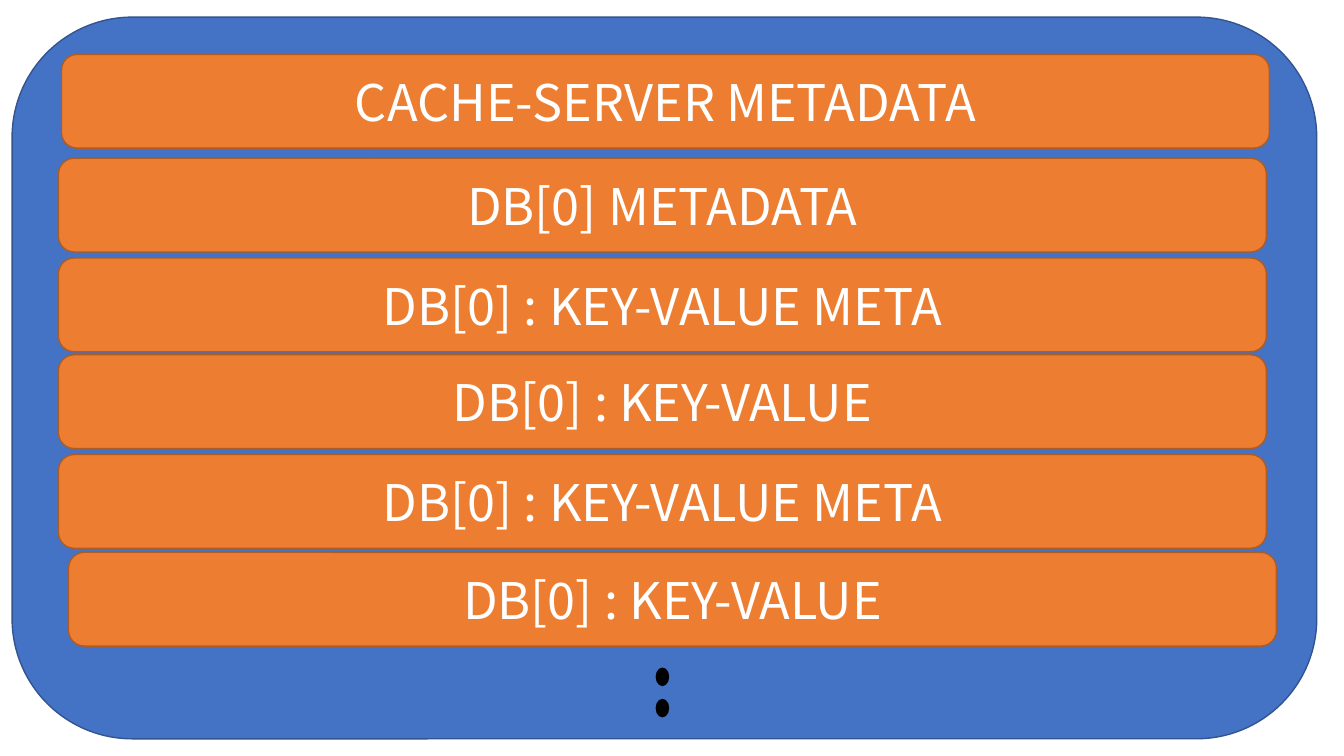
from pptx import Presentation
from pptx.dml.color import RGBColor
from pptx.enum.shapes import MSO_SHAPE as Shape
from pptx.enum.text import MSO_ANCHOR as Anchor, PP_ALIGN as Align
from pptx.util import Inches, Pt

FONT = "Noto Sans CJK KR"
FRAME = (0.12, 0.17, 12.94, 7.16)
ROWS = [
    ("CACHE-SERVER METADATA", 0.61, 0.54),
    ("DB[0] METADATA", 0.58, 1.57),
    ("DB[0] : KEY-VALUE META", 0.58, 2.56),
    ("DB[0] : KEY-VALUE", 0.58, 3.52),
    ("DB[0] : KEY-VALUE META", 0.58, 4.51),
    ("DB[0] : KEY-VALUE", 0.68, 5.48),
]
ROW_SIZE = (11.98, 0.93)
DOTS = [(6.51, 6.63), (6.51, 6.94)]
DOT_SIZE = (0.12, 0.17)


def color(code):
    return RGBColor.from_string(code)


def draw(slide, kind, box, fill, line):
    shape = slide.shapes.add_shape(kind, *[Inches(v) for v in box])
    shape.shadow.inherit = False
    shape.fill.solid()
    shape.fill.fore_color.rgb = color(fill)
    shape.line.color.rgb = color(line)
    shape.line.width = Pt(1)
    return shape


def label(shape, text):
    frame = shape.text_frame
    frame.word_wrap = True
    frame.vertical_anchor = Anchor.MIDDLE
    para = frame.paragraphs[0]
    para.alignment = Align.CENTER
    run = para.add_run()
    run.text = text
    run.font.name = FONT
    run.font.size = Pt(36)
    run.font.color.rgb = color("FFFFFF")


def main():
    deck = Presentation()
    deck.slide_width = Inches(13.33)
    deck.slide_height = Inches(7.5)
    slide = deck.slides.add_slide(deck.slide_layouts[6])

    draw(slide, Shape.ROUNDED_RECTANGLE, FRAME, "4472C4", "325491")
    for text, left, top in ROWS:
        box = (left, top, *ROW_SIZE)
        row = draw(slide, Shape.ROUNDED_RECTANGLE, box, "ED7D31", "AF5C24")
        label(row, text)
    for spot in DOTS:
        draw(slide, Shape.OVAL, (*spot, *DOT_SIZE), "000000", "000000")

    deck.save("out.pptx")


if __name__ == "__main__":
    main()
